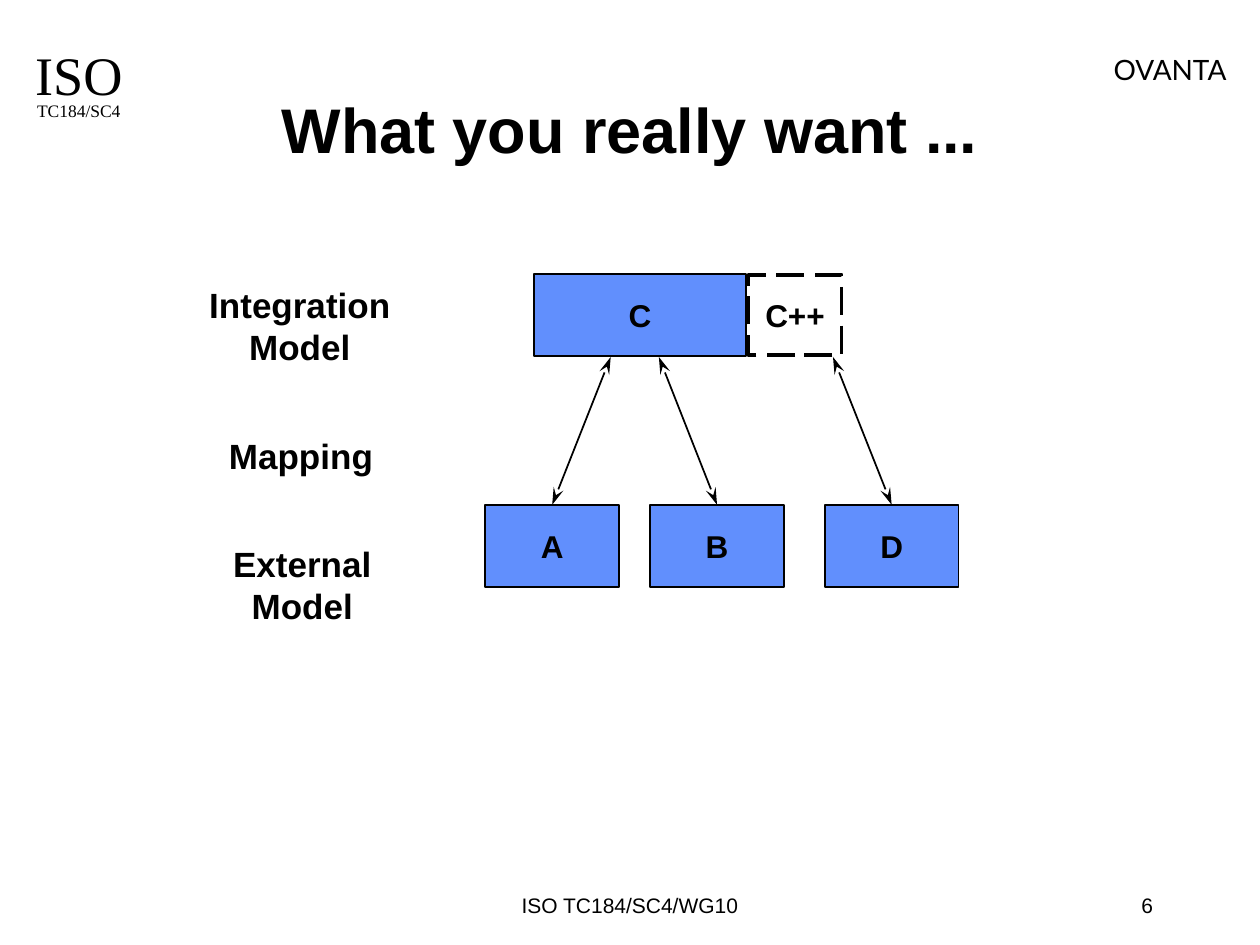
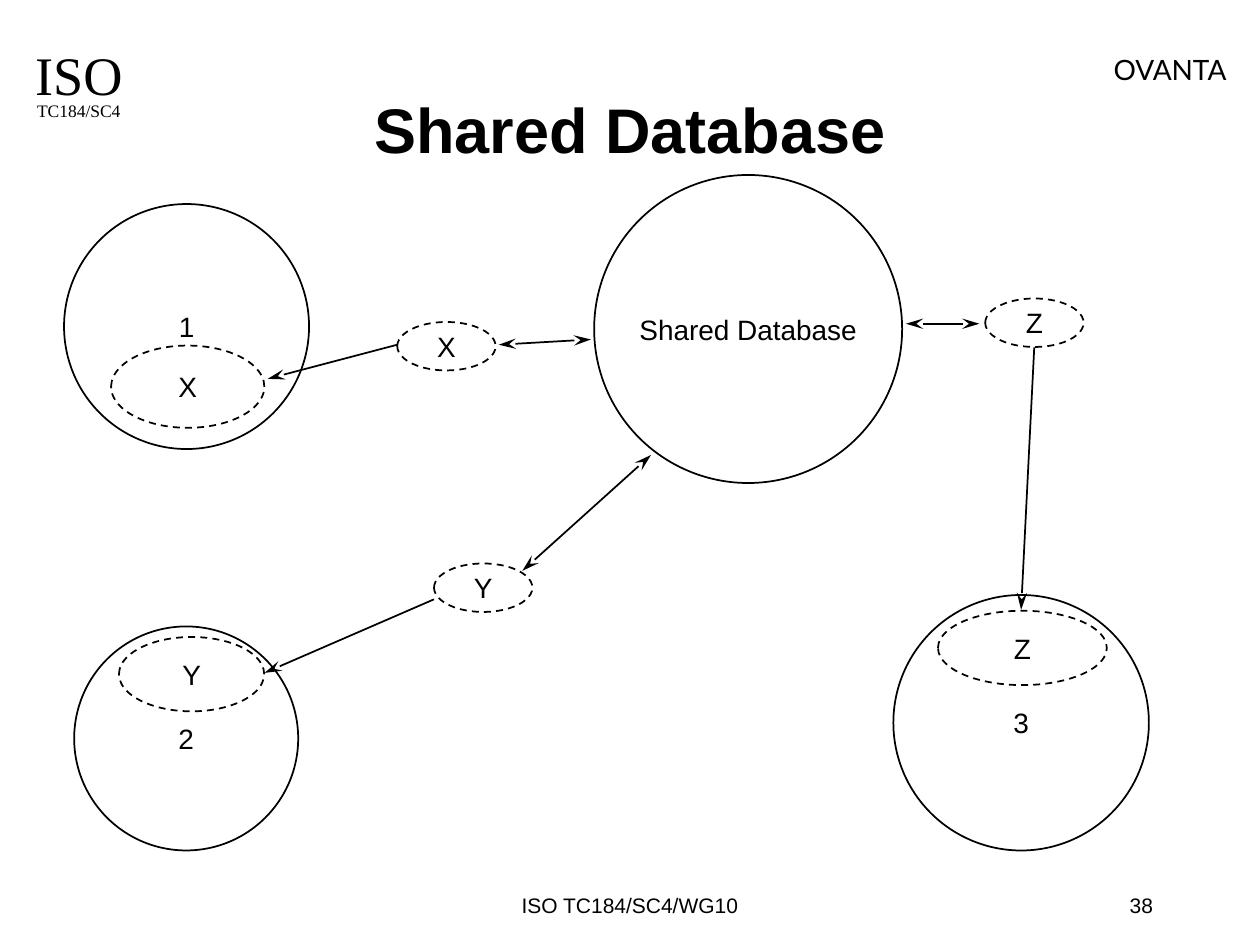
from dataclasses import dataclass

from lxml import etree
from pptx import Presentation
from pptx.dml.color import RGBColor as RGB
from pptx.enum.dml import MSO_LINE as DASH
from pptx.enum.shapes import MSO_CONNECTOR as CONN, MSO_SHAPE as SHAPE
from pptx.enum.text import MSO_ANCHOR as ANCHOR, PP_ALIGN as ALIGN
from pptx.oxml.ns import qn
from pptx.util import Pt


@dataclass(frozen=True)
class Theme:
    ink: RGB = RGB(0, 0, 0)
    paper: RGB = RGB(255, 255, 255)
    blue: RGB = RGB(0x61, 0x8F, 0xFD)
    sans: str = "Arial"
    serif: str = "Times New Roman"
    mark: str = "Lato"
    title: int = 36
    iso: int = 31
    label: int = 20
    box: int = 18
    body: int = 16
    footer: int = 12
    committee: int = 10


T = Theme()


def put(slide, text, at, kind=None, fill=T.paper, dash=None, weight=1, size=T.body,
        font=T.sans, bold=False, align=ALIGN.CENTER, anchor=ANCHOR.MIDDLE, wrap=False):
    """Add a text box, or a preset shape of the given kind, holding one paragraph."""
    at = [Pt(v) for v in at]
    if kind is None:
        sp = slide.shapes.add_textbox(*at)
    else:
        sp = slide.shapes.add_shape(kind, *at)
        sp.shadow.inherit = False
        sp.fill.solid()
        sp.fill.fore_color.rgb = fill
        sp.line.color.rgb = T.ink
        sp.line.width = Pt(weight)
        if dash is not None:
            sp.line.dash_style = dash
    tf = sp.text_frame
    tf.word_wrap = wrap
    tf.vertical_anchor = anchor
    p = tf.paragraphs[0]
    p.alignment = align
    r = p.add_run()
    r.text = text
    r.font.name, r.font.size, r.font.bold = font, Pt(size), bold
    r.font.color.rgb = T.ink
    return sp


def arrow(slide, start, end, both=True):
    """Draw a line with an arrowhead at its start, and at its end too if both."""
    cx = slide.shapes.add_connector(CONN.STRAIGHT, *[Pt(v) for v in (*start, *end)])
    cx.line.color.rgb = T.ink
    cx.line.width = Pt(1)
    ln = cx.line._get_or_add_ln()
    for tag in ("a:headEnd", "a:tailEnd") if both else ("a:headEnd",):
        etree.SubElement(ln, qn(tag), type="stealth", w="med", len="lg")
    etree.SubElement(cx._element.spPr, qn("a:effectLst"))
    return cx


prs = Presentation()
prs.slide_width, prs.slide_height = Pt(720), Pt(540)

# Frame shared by both slides: committee, project name, title, footer, number
slides = []
for title, number in (("What you really want ...", "6"), ("Shared Database", "38")):
    s = prs.slides.add_slide(prs.slide_layouts[6])
    put(s, "ISO", (0, 24, 90, 36), size=T.iso, font=T.serif)
    put(s, "TC184/SC4", (0, 54, 90, 18), size=T.committee, font=T.serif)
    put(s, "OVANTA", (629.3, 26.6, 80, 26.6), font=T.mark, align=ALIGN.LEFT,
        anchor=ANCHOR.TOP)
    put(s, title, (54, 48, 612, 90), size=T.title, bold=True, anchor=ANCHOR.TOP, wrap=True)
    put(s, "ISO TC184/SC4/WG10", (216, 492, 288, 36), size=T.footer,
        anchor=ANCHOR.BOTTOM, wrap=True)
    put(s, number, (516, 492, 150, 36), size=T.footer, align=ALIGN.RIGHT,
        anchor=ANCHOR.BOTTOM, wrap=True)
    slides.append(s)
want, shared = slides

# Slide 1: names of the layers
for text, at in (
    ("Integration Model", (108.7, 158.4, 125.3, 55.4)),
    ("Mapping", (117.3, 244.8, 109.4, 31)),
    ("External Model", (117.3, 306.7, 110.9, 55.4)),
):
    put(want, text, at, size=T.label, bold=True, anchor=ANCHOR.TOP, wrap=True)

# Slide 1: integration model and its extension
put(want, "C++", (427.7, 157, 53.3, 46), SHAPE.RECTANGLE, dash=DASH.LONG_DASH,
    weight=2, size=T.box, bold=True)
put(want, "C", (305.2, 156.5, 121, 46.8), SHAPE.RECTANGLE, fill=T.blue,
    size=T.box, bold=True)

# Slide 1: external models, each mapped to the row above
for name, left, target in (("A", 277.3, 349), ("B", 371.5, 376.5), ("D", 471.3, 476)):
    model = put(want, name, (left, 288.5, 76.5, 46.8), SHAPE.RECTANGLE, fill=T.blue,
                size=T.box, bold=True)
    mapping = arrow(want, (left + 38.25, 288.5), (target, 204))
    mapping.begin_connect(model, 0)

# Slide 2: the database and the three systems around it
for text, left, top, diameter in (
    ("Shared Database", 339.5, 100, 176),
    ("1", 36.6, 116.6, 140),
    ("3", 510.5, 340, 146),
    ("2", 42.4, 358, 128),
):
    put(shared, text, (left, top, diameter, diameter), SHAPE.OVAL)

# Slide 2: data sets held in the systems, then those in transit
transit = (56.2, 27.7)
for text, left, top, (width, height) in (
    ("X", 63.5, 197.5, (87.6, 47)),
    ("Y", 68, 364, (83, 42.5)),
    ("Z", 536, 349, (96.5, 42.5)),
    ("X", 227, 184, transit),
    ("Y", 248, 322, transit),
    ("Z", 563, 170.6, transit),
):
    put(shared, text, (left, top, width, height), SHAPE.OVAL, dash=DASH.DASH)

# Slide 2: exchange with the database, then delivery to a system
for start, end, both in (
    ((285, 197), (337.7, 194), True),
    ((372, 260), (298.5, 326.2), True),
    ((517.7, 185), (559.7, 185), True),
    ((153, 216.5), (227, 197), False),
    ((151.2, 384.5), (248, 342.5), False),
    ((583.5, 348.5), (591, 198.5), False),
):
    arrow(shared, start, end, both)

prs.save("out.pptx")
